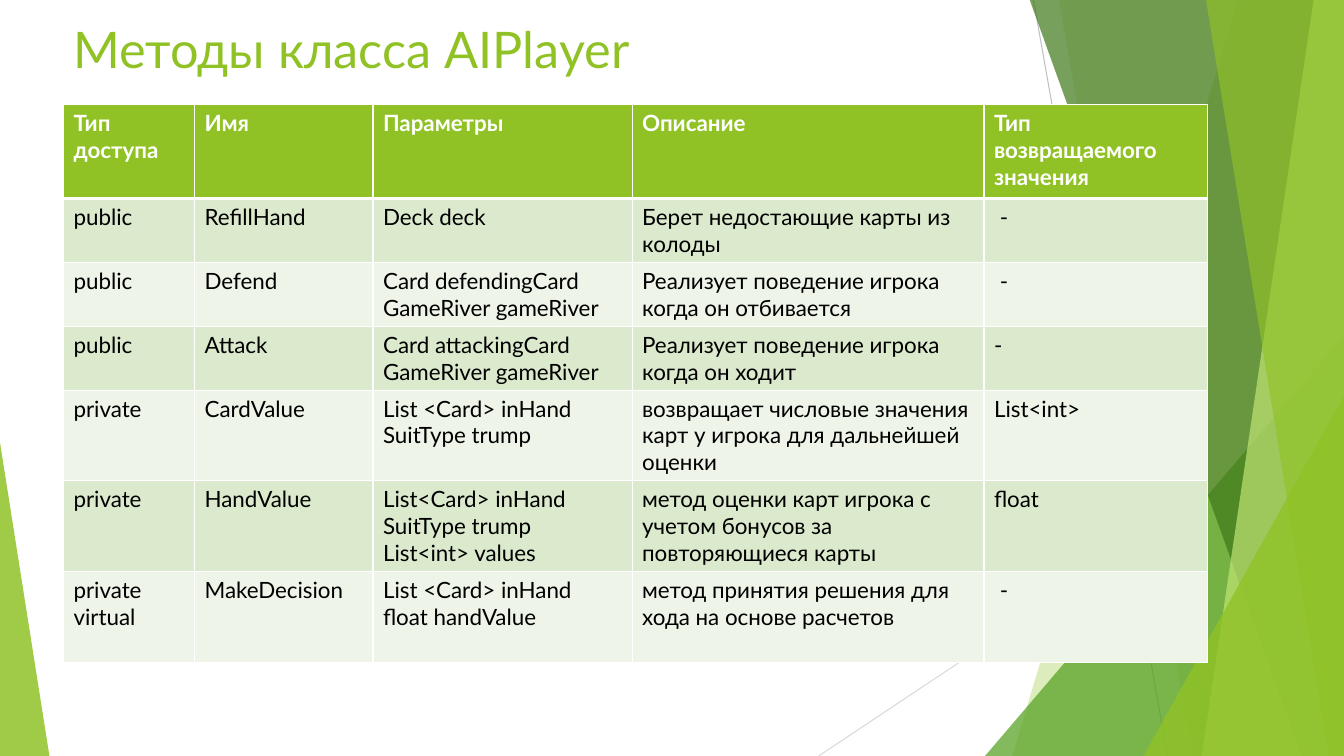
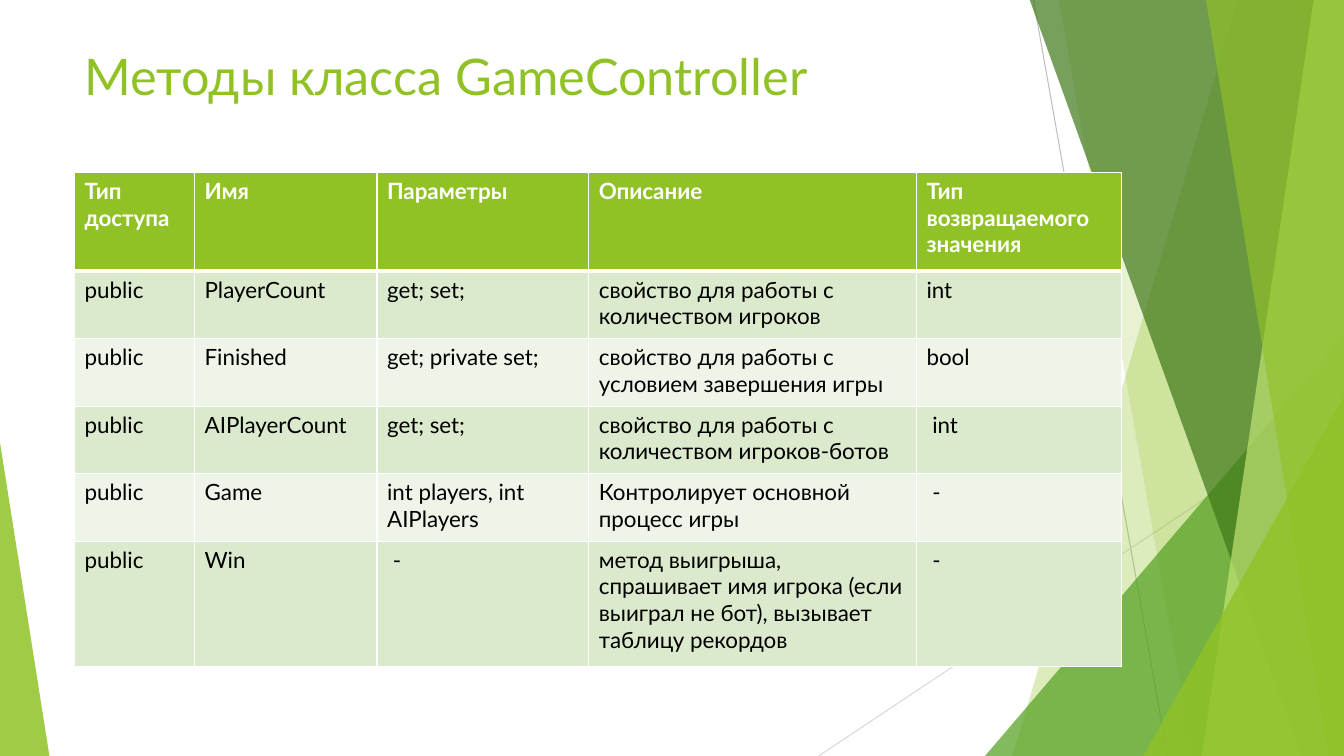
from lxml import etree
from pptx import Presentation
from pptx import util as u
from pptx.dml import color
from pptx.enum import shapes, text
from pptx.oxml import ns

In = u.Inches
W, H = 13.33, 7.5
HEADER = ["Тип доступа", "Имя", "Параметры", "Описание", "Тип возвращаемого значения"]
AI_PLAYER = [
    ["public", "RefillHand", "Deck deck", "Берет недостающие карты из колоды", " -"],
    ["public", "Defend", "Card defendingCard GameRiver gameRiver",
     "Реализует поведение игрока когда он отбивается", " -"],
    ["public", "Attack", "Card attackingCard GameRiver gameRiver",
     "Реализует поведение игрока когда он ходит", "-"],
    ["private", "CardValue", "List <Card> inHand\nSuitType trump",
     "возвращает числовые значения карт у игрока для дальнейшей оценки", "List<int>"],
    ["private", "HandValue", "List<Card> inHand\nSuitType trump\nList<int> values",
     "метод оценки карт игрока с учетом бонусов за повторяющиеся карты", "float"],
    ["private virtual", "MakeDecision", "List <Card> inHand\nfloat handValue",
     "метод принятия решения для хода на основе расчетов", " -"],
]
GAME_CONTROLLER = [
    ["public", "PlayerCount", "get; set;", "свойство для работы с количеством игроков", "int"],
    ["public", "Finished", "get; private set;",
     "свойство для работы с условием завершения игры", "bool"],
    ["public", "AIPlayerCount", "get; set;",
     "свойство для работы с количеством игроков-ботов", " int"],
    ["public", "Game", "int players, int AIPlayers", "Контролирует основной процесс игры", " -"],
    ["public", "Win", " -",
     "метод выигрыша, спрашивает имя игрока (если выиграл не бот), вызывает таблицу рекордов",
     " -"],
]


class Deck:
    """Holds the presentation, its style and the current slide."""

    FONT = "Lato"
    COLORS = {
        "accent": "90C226", "leaf": "54A021", "forest": "3F7819", "lime": "C0E474",
        "odd": "DBE9CD", "even": "EEF4E8", "white": "FFFFFF", "black": "000000",
        "line": "BFBFBF", "faint": "D9D9D9",
    }

    def __init__(self):
        self.prs = Presentation()
        self.prs.slide_width, self.prs.slide_height = In(W), In(H)

    def rgb(self, name):
        return color.RGBColor.from_string(self.COLORS[name])

    def add_slide(self, title, x, y, w, h):
        self.s = self.prs.slides.add_slide(self.prs.slide_layouts[6])
        self.backdrop()
        self.title(title, x, y, w, h)

    def backdrop(self):
        self.line(10.25, 0, 11.58, H, "line")
        self.line(W, 4.03, 8.12, H, "faint")
        self.band(12.28, 10.04, "accent", 30)
        self.band(10.5, 11.83, "accent", 20)
        self.corner(9.77, 3.33, W, 1, "leaf", 72)
        self.band(10.21, 12.91, "forest", 70)
        self.band(13.03, 11.92, "lime", 70)
        self.band(11.96, 13.18, "accent", 65)
        self.corner(11.34, 3.93, W, 1, "accent", 80)
        self.corner(0, 4.39, 0.49, 0, "accent", 85)

    def line(self, x1, y1, x2, y2, name):
        c = self.s.shapes.add_connector(
            shapes.MSO_CONNECTOR.STRAIGHT, In(x1), In(y1), In(x2), In(y2))
        c.line.color.rgb = self.rgb(name)
        c.line.width = u.Pt(0.75)
        etree.SubElement(c._element.spPr, ns.qn("a:effectLst"))

    def paint(self, sp, name, opacity):
        sp.shadow.inherit = False
        sp.line.fill.background()
        sp.fill.solid()
        sp.fill.fore_color.rgb = self.rgb(name)
        clr = sp._element.spPr.find(".//" + ns.qn("a:srgbClr"))
        etree.SubElement(clr, ns.qn("a:alpha"), val=str(opacity * 1000))

    def band(self, top_x, bottom_x, name, opacity):
        fb = self.s.shapes.build_freeform(In(top_x), In(-0.01))
        fb.add_line_segments(
            [(In(W), In(-0.01)), (In(W), In(H)), (In(bottom_x), In(H))], close=True)
        self.paint(fb.convert_to_shape(), name, opacity)

    def corner(self, left, top, right, apex, name, opacity):
        sp = self.s.shapes.add_shape(
            shapes.MSO_SHAPE.ISOSCELES_TRIANGLE, In(left), In(top), In(right - left), In(H - top))
        sp.adjustments[0] = apex
        self.paint(sp, name, opacity)

    def set_text(self, tf, content, size, name, bold=False):
        tf.text = content
        for p in tf.paragraphs:
            p.font.name, p.font.size, p.font.bold = self.FONT, u.Pt(size), bold
            p.font.color.rgb = self.rgb(name)

    def title(self, content, x, y, w, h):
        tf = self.s.shapes.add_textbox(In(x), In(y), In(w), In(h)).text_frame
        tf.word_wrap = True
        tf.vertical_anchor = text.MSO_ANCHOR.TOP
        self.set_text(tf, content, 36, "accent")

    def border(self, cell, side, width):
        tcPr = cell._tc.get_or_add_tcPr()
        ln = etree.SubElement(tcPr, ns.qn("a:ln" + side), w=str(u.Pt(width)))
        fill = etree.SubElement(ln, ns.qn("a:solidFill"))
        etree.SubElement(fill, ns.qn("a:srgbClr"), val=self.COLORS["white"])

    def table(self, x, y, widths, heights, rows):
        data = [HEADER] + rows
        tbl = self.s.shapes.add_table(
            len(data), len(widths), In(x), In(y), In(sum(widths)), In(sum(heights))).table
        for col, w in zip(tbl.columns, widths):
            col.width = In(w)
        for i, (row, h) in enumerate(zip(data, heights)):
            tbl.rows[i].height = In(h)
            fill = "accent" if i == 0 else "odd" if i % 2 else "even"
            for j, content in enumerate(row):
                cell = tbl.cell(i, j)
                for side in "LRTB":
                    self.border(cell, side, 3 if (i, side) in ((0, "B"), (1, "T")) else 1)
                cell.fill.solid()
                cell.fill.fore_color.rgb = self.rgb(fill)
                self.set_text(cell.text_frame, content, 16, "black" if i else "white", i == 0)


def main():
    d = Deck()
    d.add_slide("Методы класса AIPlayer", 0.63, 0.13, 9.4, 0.87)
    d.table(0.63, 1.04, [1.3, 1.77, 2.57, 3.49, 2.22],
            [0.93] + [0.63] * 3 + [0.9] * 3, AI_PLAYER)
    d.add_slide("Методы класса GameController", 0.74, 0.4, 7.88, 0.96)
    d.table(0.74, 1.71, [1.19, 1.81, 2.1, 3.25, 2.03],
            [0.98] + [0.67] * 4 + [1.24], GAME_CONTROLLER)
    d.prs.save("out.pptx")


if __name__ == "__main__":
    main()
